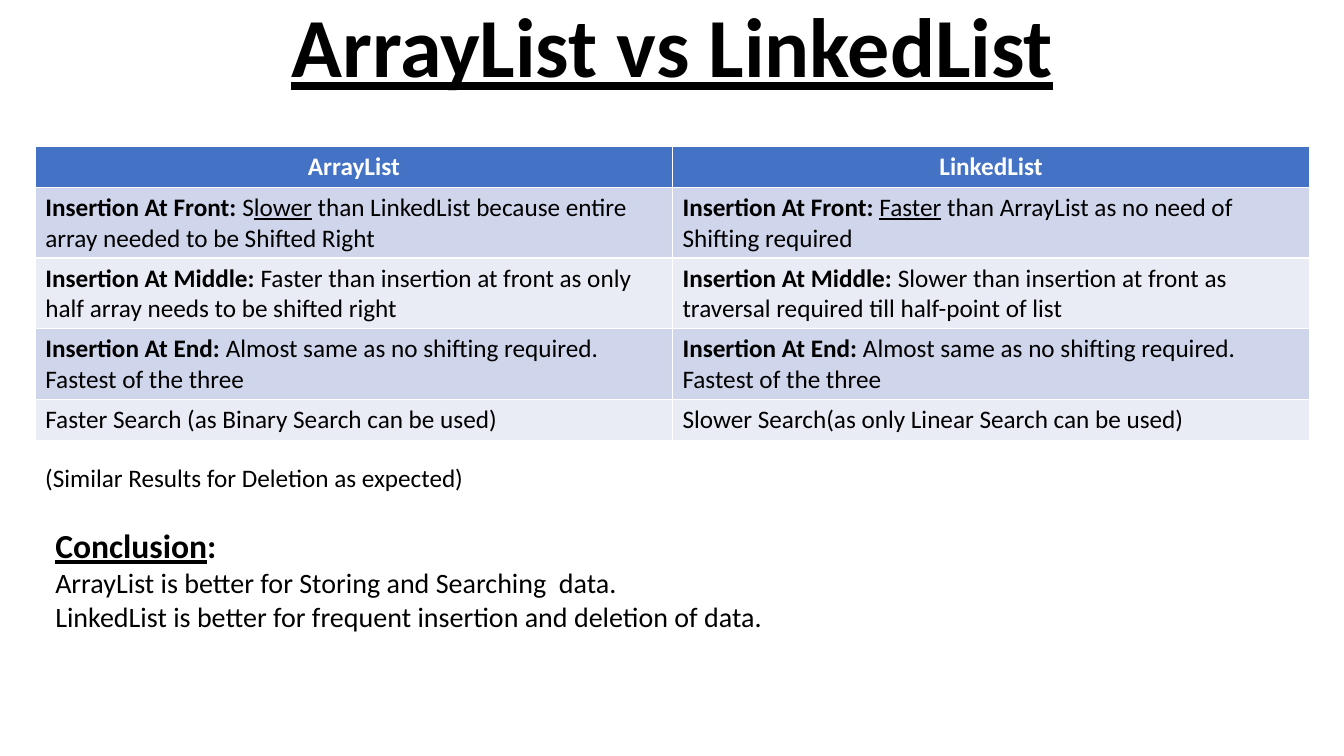
import pptx
import pptx.dml.color
import pptx.enum.text
import pptx.util

Inches = pptx.util.Inches
ALIGN = pptx.enum.text.PP_ALIGN
ANCHOR = pptx.enum.text.MSO_ANCHOR
AUTO_SIZE = pptx.enum.text.MSO_AUTO_SIZE

BLACK, WHITE = "000000", "FFFFFF"
HEADER_FILL = "4472C4"
BAND_FILLS = ["CFD5EA", "E9EBF5"]
ROW_HEIGHT = 0.41

BODY = {"size": 18, "color": BLACK, "bold": False, "underline": False}
BOLD = BODY | {"bold": True}
UNDERLINED = BODY | {"underline": True}
HEADER = BOLD | {"color": WHITE}
TITLE = BOLD | {"size": 60, "underline": True}
HEADING = BOLD | {"size": 24}
CONCLUSION = BODY | {"size": 20}

COMPARISON = [
    [
        [[("Insertion At Front: ", BOLD), ("S", BODY), ("lower", UNDERLINED),
          (" than LinkedList because entire array needed to be Shifted Right", BODY)]],
        [[("Insertion At Front: ", BOLD), ("Faster", UNDERLINED),
          (" than ArrayList as no need of Shifting required", BODY)]],
    ],
    [
        [[("Insertion At Middle: ", BOLD),
          ("Faster than insertion at front as only half array needs to be shifted right", BODY)]],
        [[("Insertion At Middle: ", BOLD),
          ("Slower than insertion at front as traversal required till half-point of list", BODY)]],
    ],
    [
        [[("Insertion At End: ", BOLD),
          ("Almost same as no shifting required. Fastest of the three", BODY)]],
        [[("Insertion At End: ", BOLD), ("Almost same as no shifting required.", BODY)],
         [("Fastest of the three", BODY)]],
    ],
    [
        [[("Faster Search (as Binary Search can be used)", BODY)]],
        [[("Slower Search(as only Linear Search can be used)", BODY)]],
    ],
]


def rgb(value):
    return pptx.dml.color.RGBColor.from_string(value)


def write_text(text_frame, paragraphs, **paragraph_format):
    for index, runs in enumerate(paragraphs):
        paragraph = text_frame.add_paragraph() if index else text_frame.paragraphs[0]
        for name, value in paragraph_format.items():
            setattr(paragraph, name, value)
        for text, style in runs:
            run = paragraph.add_run()
            run.text = text
            run.font.color.rgb = rgb(style["color"])
            values = {"name": "Calibri", "size": pptx.util.Pt(style["size"]),
                      "bold": style["bold"], "underline": style["underline"]}
            for name, value in values.items():
                setattr(run.font, name, value)


def add_text(slide, box, paragraphs, frame_format, **paragraph_format):
    shape = slide.shapes.add_textbox(*map(Inches, box))
    for name, value in ({"word_wrap": True} | frame_format).items():
        setattr(shape.text_frame, name, value)
    write_text(shape.text_frame, paragraphs, **paragraph_format)


def add_title(slide, box):
    add_text(slide, box, [[("ArrayList vs LinkedList", TITLE)]],
             {"vertical_anchor": ANCHOR.BOTTOM},
             alignment=ALIGN.CENTER, line_spacing=0.9)


def fill_cell(cell, color, paragraphs, **paragraph_format):
    cell.fill.solid()
    cell.fill.fore_color.rgb = rgb(color)
    write_text(cell.text_frame, paragraphs, **paragraph_format)


def add_comparison(slide, box):
    frame = slide.shapes.add_table(len(COMPARISON) + 1, 2, *map(Inches, box))
    table = frame.table
    for row in table.rows:
        row.height = Inches(ROW_HEIGHT)
    frame.height = Inches(box[3])
    for column, name in enumerate(["ArrayList", "LinkedList"]):
        fill_cell(table.cell(0, column), HEADER_FILL, [[(name, HEADER)]],
                  alignment=ALIGN.CENTER)
    for row, cells in enumerate(COMPARISON):
        for column, paragraphs in enumerate(cells):
            fill_cell(table.cell(row + 1, column), BAND_FILLS[row % 2], paragraphs)


def add_deletion_note(slide, box):
    add_text(slide, box, [[("(Similar Results for Deletion as expected)", BODY)]],
             {"auto_size": AUTO_SIZE.SHAPE_TO_FIT_TEXT})


def add_conclusion(slide, box):
    add_text(slide, box, [
        [("Conclusion", HEADING | {"underline": True}), (":", HEADING)],
        [("ArrayList is better for Storing and Searching  data.", CONCLUSION)],
        [("LinkedList is better for frequent insertion and deletion of data.", CONCLUSION)],
    ], {"auto_size": AUTO_SIZE.SHAPE_TO_FIT_TEXT})


def main():
    presentation = pptx.Presentation()
    presentation.slide_width = Inches(13.33)
    presentation.slide_height = Inches(7.5)
    slide = presentation.slides.add_slide(presentation.slide_layouts[6])
    add_title(slide, (1.67, -1.61, 10, 2.61))
    add_comparison(slide, (0.35, 1.45, 12.64, 2.91))
    add_deletion_note(slide, (0.35, 4.54, 4.88, 0.4))
    add_conclusion(slide, (0.45, 5.16, 12.54, 1.18))
    presentation.save("out.pptx")


if __name__ == "__main__":
    main()
